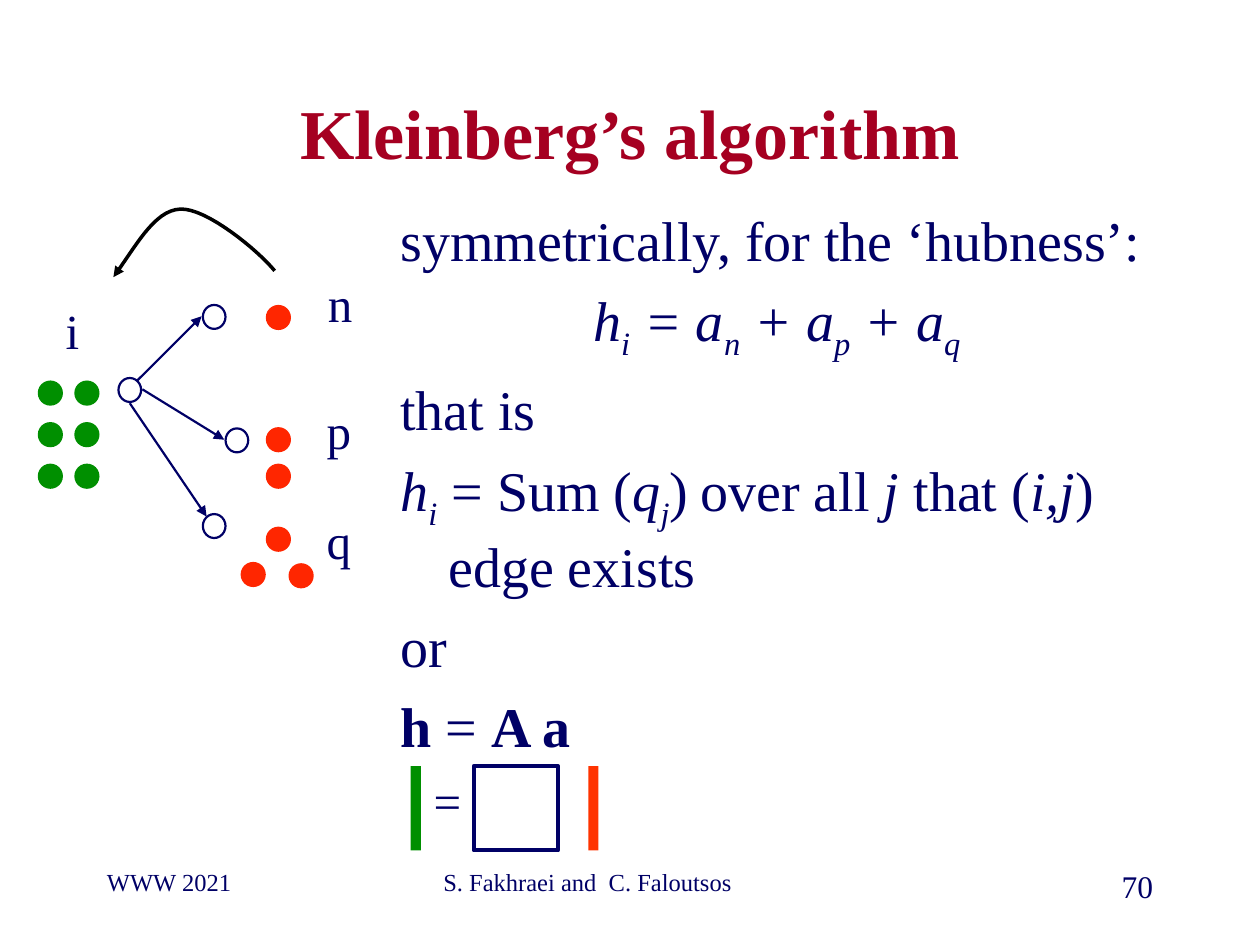
from pptx import Presentation
from pptx.dml.color import RGBColor
from pptx.enum.shapes import MSO_CONNECTOR, MSO_SHAPE
from pptx.enum.text import MSO_ANCHOR, PP_ALIGN
from pptx.oxml.ns import qn
from pptx.util import Inches, Pt
from lxml import etree

STRAIGHT = MSO_CONNECTOR.STRAIGHT
OVAL, RECTANGLE = MSO_SHAPE.OVAL, MSO_SHAPE.RECTANGLE
TOP, MIDDLE = MSO_ANCHOR.TOP, MSO_ANCHOR.MIDDLE
LEFT, CENTER, RIGHT = PP_ALIGN.LEFT, PP_ALIGN.CENTER, PP_ALIGN.RIGHT

NAVY = RGBColor(0x00, 0x00, 0x66)
CRIMSON = RGBColor(0xA5, 0x00, 0x21)
GREEN = RGBColor(0x00, 0x8F, 0x00)
RED = RGBColor(0xFF, 0x26, 0x00)
ORANGE = RGBColor(0xFF, 0x33, 0x00)
BLACK = RGBColor(0x00, 0x00, 0x00)
FONT = "Times New Roman"

PLAIN, ITALIC, BOLD = {}, {"italic": True}, {"bold": True}
SUBSCRIPT = {"italic": True, "subscript": True}

BODY = [
    (LEFT, [("symmetrically, for the ‘hubness’:", PLAIN)]),
    (CENTER, [("h", ITALIC), ("i", SUBSCRIPT), (" = a", ITALIC), ("n", SUBSCRIPT),
              (" + a", ITALIC), ("p", SUBSCRIPT), (" + a", ITALIC), ("q", SUBSCRIPT)]),
    (LEFT, [("that is", PLAIN)]),
    (LEFT, [("h", ITALIC), ("i", SUBSCRIPT), (" = Sum (", PLAIN), ("q", ITALIC),
            ("j", SUBSCRIPT), (")\tover all ", PLAIN), ("j", ITALIC),
            (" that (", PLAIN), ("i,j", ITALIC), (") edge exists", PLAIN)]),
    (LEFT, [("or", PLAIN)]),
    (LEFT, [("h", BOLD), (" = ", PLAIN), ("A a", BOLD)]),
]
LABELS = [("p", 2.49, 3.13, 0.4), ("n", 2.5, 2.12, 0.4),
          ("q", 2.49, 4, 0.4), ("i", 0.42, 2.33, 0.31)]
NODES = [(1.61, 4.08), (1.79, 3.4), (0.94, 3), (1.61, 2.42)]
EDGES = [((1.09, 3.02), (1.6, 2.51)), ((1.13, 3.09), (1.78, 3.49)),
         ((1.03, 3.2), (1.64, 4.1))]
AUTHORITY_DOTS = [(2.11, 2.42), (2.11, 3.39), (2.11, 3.68),
                  (2.11, 4.18), (1.91, 4.46), (2.29, 4.47)]
HUB_DOTS = [(left, top) for top in (3.02, 3.35, 3.68) for left in (0.3, 0.59)]
CURVES = [((2.18, 2.15), (2.05, 1.99), (1.64, 1.65), (1.43, 1.66)),
          ((1.43, 1.66), (1.22, 1.67), (1.07, 1.97), (0.9, 2.2))]
CURVE_STEPS = 16


def add_run(paragraph, text, size, style, color=NAVY):
    run = paragraph.add_run()
    run.text = text
    values = {"name": FONT, "size": Pt(size), "bold": False, "italic": False, **style}
    if values.pop("subscript", False):
        run._r.get_or_add_rPr().set("baseline", "-25000")
    for name, value in values.items():
        setattr(run.font, name, value)
    run.font.color.rgb = color


def add_frame(slide, box, anchor=TOP, wrap=True):
    frame = slide.shapes.add_textbox(*map(Inches, box)).text_frame
    for name, value in {"word_wrap": wrap, "vertical_anchor": anchor}.items():
        setattr(frame, name, value)
    return frame


def add_text(slide, text, box, size, alignment=LEFT, anchor=TOP, wrap=True,
             color=NAVY, style=PLAIN):
    paragraph = add_frame(slide, box, anchor, wrap).paragraphs[0]
    paragraph.alignment = alignment
    add_run(paragraph, text, size, style, color)


def add_tab_stop(paragraph, position):
    tabs = etree.SubElement(paragraph._p.get_or_add_pPr(), qn("a:tabLst"))
    etree.SubElement(tabs, qn("a:tab"), pos=str(Inches(position)), algn="l")


def add_body(slide):
    frame = add_frame(slide, (3.08, 1.58, 6.17, 5.08))
    for index, (alignment, runs) in enumerate(BODY):
        paragraph = frame.add_paragraph() if index else frame.paragraphs[0]
        paragraph.alignment = alignment
        if index:
            paragraph.space_before = Pt(7.4)
        properties = paragraph._p.get_or_add_pPr()
        properties.set("marL", str(Inches(0.38)))
        properties.set("indent", str(Inches(-0.38)))
        if any("\t" in text for text, style in runs):
            add_tab_stop(paragraph, 2.84)
        for text, style in runs:
            add_run(paragraph, text, 32, style)


def add_figure(slide, kind, box, fill=None, line_width=None):
    shape = slide.shapes.add_shape(kind, *map(Inches, box))
    shape.shadow.inherit = False
    if fill is None:
        shape.fill.background()
    else:
        shape.fill.solid()
        shape.fill.fore_color.rgb = fill
    if line_width is None:
        shape.line.fill.background()
    else:
        shape.line.color.rgb = NAVY
        shape.line.width = Pt(line_width)


def style_arrow(shape, color, width):
    shape.line.color.rgb = color
    shape.line.width = Pt(width)
    etree.SubElement(shape.line._get_or_add_ln(), qn("a:tailEnd"), type="triangle")


def add_edge(slide, start, end):
    connector = slide.shapes.add_connector(STRAIGHT, *map(Inches, start + end))
    style_arrow(connector, NAVY, 1.25)
    etree.SubElement(connector._element.spPr, qn("a:effectLst"))


def curve_point(controls, t):
    weights = ((1 - t) ** 3, 3 * t * (1 - t) ** 2, 3 * t ** 2 * (1 - t), t ** 3)
    return tuple(Inches(sum(weight * point[axis] for weight, point in zip(weights, controls)))
                 for axis in (0, 1))


def add_curved_arrow(slide):
    points = [curve_point(controls, step / CURVE_STEPS)
              for controls in CURVES for step in range(1, CURVE_STEPS + 1)]
    builder = slide.shapes.build_freeform(*curve_point(CURVES[0], 0))
    builder.add_line_segments(points, close=False)
    shape = builder.convert_to_shape()
    shape.shadow.inherit = False
    shape.fill.background()
    style_arrow(shape, BLACK, 2)


def add_graph(slide):
    for left, top in NODES:
        add_figure(slide, OVAL, (left, top, 0.18, 0.19), line_width=1.25)
    for text, left, top, width in LABELS:
        add_text(slide, text, (left, top, width, 0.57), 28, CENTER, MIDDLE, wrap=False)
    for start, end in EDGES:
        add_edge(slide, start, end)
    for color, dots in ((RED, AUTHORITY_DOTS), (GREEN, HUB_DOTS)):
        for left, top in dots:
            add_figure(slide, OVAL, (left, top, 0.2, 0.2), color)
    add_curved_arrow(slide)


def add_matrix_equation(slide):
    for left, color in ((3.26, GREEN), (4.67, ORANGE)):
        add_figure(slide, RECTANGLE, (left, 6.08, 0.08, 0.67), color)
    add_figure(slide, RECTANGLE, (3.76, 6.08, 0.67, 0.67), line_width=2.25)
    add_text(slide, "=", (3.34, 6.07, 0.42, 0.57), 28, CENTER, wrap=False)


def main():
    presentation = Presentation()
    presentation.slide_width, presentation.slide_height = Inches(10), Inches(7.5)
    slide = presentation.slides.add_slide(presentation.slide_layouts[6])
    add_text(slide, "WWW 2021", (0.75, 6.83, 2.08, 0.5), 14)
    add_text(slide, "S. Fakhraei and  C. Faloutsos", (3.42, 6.83, 3.17, 0.5), 14)
    add_text(slide, "70", (7.17, 6.83, 2.08, 0.5), 18, RIGHT)
    add_text(slide, "Kleinberg’s algorithm", (0.75, 0.67, 8.5, 0.75), 40,
             CENTER, MIDDLE, color=CRIMSON, style=BOLD)
    add_body(slide)
    add_graph(slide)
    add_matrix_equation(slide)
    presentation.save("out.pptx")


if __name__ == "__main__":
    main()
